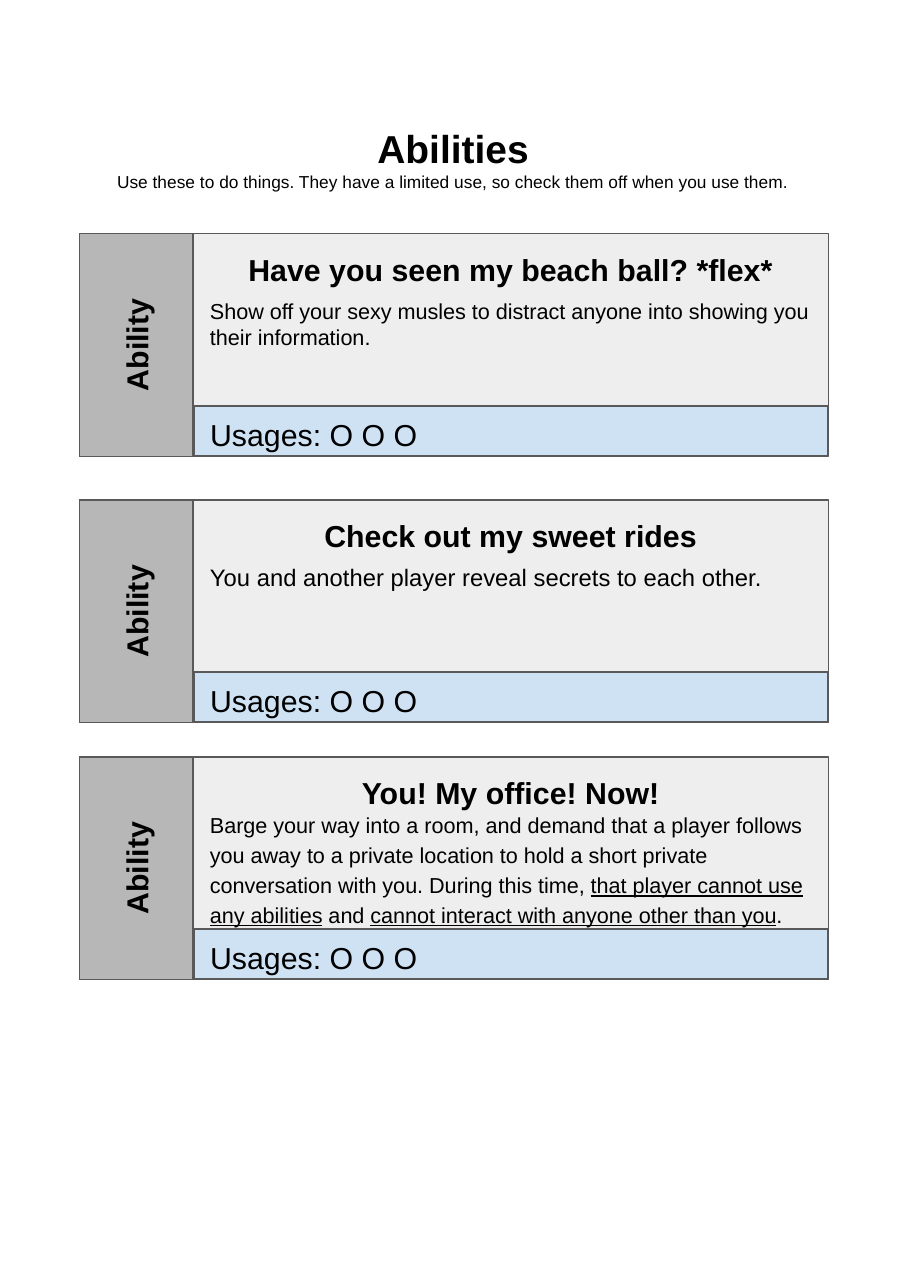
from dataclasses import dataclass

from pptx import Presentation
from pptx.dml.color import RGBColor
from pptx.enum.shapes import MSO_SHAPE
from pptx.enum.text import MSO_ANCHOR, PP_ALIGN
from pptx.shapes.autoshape import Shape
from pptx.shapes.shapetree import GroupShapes
from pptx.text.text import TextFrame, _Paragraph
from pptx.util import Emu, Pt

PX = 9144  # 100 px to the inch
FONT = "Arial"
BLACK, BORDER = "000000", "595959"
CARD_FILL, TAB_FILL, USAGE_FILL = "EEEEEE", "B7B7B7", "CFE2F3"
TEXT_LEFT, TEXT_WIDTH = 125, 406


@dataclass(frozen=True)
class Box:
    left: int
    top: int
    width: int
    height: int

    def emu(self) -> tuple[Emu, ...]:
        return tuple(Emu(n * PX) for n in (self.left, self.top, self.width, self.height))


@dataclass(frozen=True)
class Phrase:
    text: str
    underline: bool = False


@dataclass(frozen=True)
class Ability:
    top: int
    title: str
    phrases: tuple[Phrase, ...]
    size: int = 10
    body_offset: int = 31
    body_height: int = 46
    spacing: float = 1.0


ABILITIES = (
    Ability(150, "Have you seen my beach ball? *flex*", (
        Phrase("Show off your sexy musles to distract anyone into showing you their information."),
    )),
    Ability(321, "Check out my sweet rides", (
        Phrase("You and another player reveal secrets to each other."),
    ), size=11),
    Ability(486, "You! My office! Now!", (
        Phrase("Barge your way into a room, and demand that a player follows you away to a private "
               "location to hold a short private conversation with you. During this time, "),
        Phrase("that player cannot use any abilities", True),
        Phrase(" and "),
        Phrase("cannot interact with anyone other than you", True),
        Phrase("."),
    ), body_offset=23, body_height=75, spacing=1.15),
)


def rgb(color: str) -> RGBColor:
    return RGBColor.from_string(color)


def format_runs(p: _Paragraph, size: int, bold: bool = False, centred: bool = False) -> None:
    p.alignment = PP_ALIGN.CENTER if centred else PP_ALIGN.LEFT
    for r in p.runs:
        r.font.name = FONT
        r.font.size = Pt(size)
        r.font.bold = bold
        r.font.color.rgb = rgb(BLACK)


def set_margins(tf: TextFrame) -> None:
    tf.margin_left = tf.margin_top = tf.margin_right = tf.margin_bottom = Emu(10 * PX)


def add_text(shapes: GroupShapes, box: Box, text: str = "", size: int = 14,
             bold: bool = False, centred: bool = False) -> TextFrame:
    tf = shapes.add_textbox(*box.emu()).text_frame
    tf.word_wrap = True
    set_margins(tf)
    tf.text = text
    format_runs(tf.paragraphs[0], size, bold, centred)
    return tf


def add_panel(shapes: GroupShapes, kind: MSO_SHAPE, box: Box, fill: str,
              rotation: int = 0) -> Shape:
    """Add a bordered shape with square corners."""
    sp = shapes.add_shape(kind, *box.emu())
    for i in range(len(sp.adjustments)):
        sp.adjustments[i] = 0
    sp.rotation = rotation
    sp.shadow.inherit = False
    sp.fill.solid()
    sp.fill.fore_color.rgb = rgb(fill)
    sp.line.color.rgb = rgb(BORDER)
    sp.line.width = Pt(0.75)
    return sp


def add_ability(shapes: GroupShapes, ability: Ability) -> None:
    top = ability.top
    add_panel(shapes, MSO_SHAPE.ROUNDED_RECTANGLE, Box(51, top, 481, 143), CARD_FILL)

    tab = add_panel(shapes, MSO_SHAPE.ROUND_2_SAME_RECTANGLE,
                    Box(16, top + 35, 143, 73), TAB_FILL, 270)
    tf = tab.text_frame
    tf.text = "Ability"
    tf.vertical_anchor = MSO_ANCHOR.MIDDLE
    set_margins(tf)
    format_runs(tf.paragraphs[0], 14, bold=True, centred=True)

    add_text(shapes, Box(TEXT_LEFT, top + 1, TEXT_WIDTH, 42), ability.title,
             bold=True, centred=True)

    body = add_text(shapes, Box(TEXT_LEFT, top + ability.body_offset, TEXT_WIDTH,
                                ability.body_height))
    p = body.paragraphs[0]
    p.line_spacing = ability.spacing
    for phrase in ability.phrases:
        r = p.add_run()
        r.text = phrase.text
        r.font.underline = phrase.underline
    format_runs(p, ability.size)

    add_panel(shapes, MSO_SHAPE.ROUND_1_RECTANGLE, Box(312, top - 77, 32, 407), USAGE_FILL, 90)
    add_text(shapes, Box(TEXT_LEFT, top + 107, 398, 42), "Usages: O O O")


def main() -> None:
    prs = Presentation()
    prs.slide_width, prs.slide_height = Emu(583 * PX), Emu(827 * PX)
    s = prs.slides.add_slide(prs.slide_layouts[6])

    heading = add_text(s.shapes, Box(23, 70, 536, 91), "Abilities", 18, bold=True, centred=True)
    p = heading.add_paragraph()
    p.text = "Use these to do things. They have a limited use, so check them off when you use them."
    format_runs(p, 8, centred=True)

    for ability in ABILITIES:
        add_ability(s.shapes.add_group_shape().shapes, ability)
    prs.save("out.pptx")


if __name__ == "__main__":
    main()
